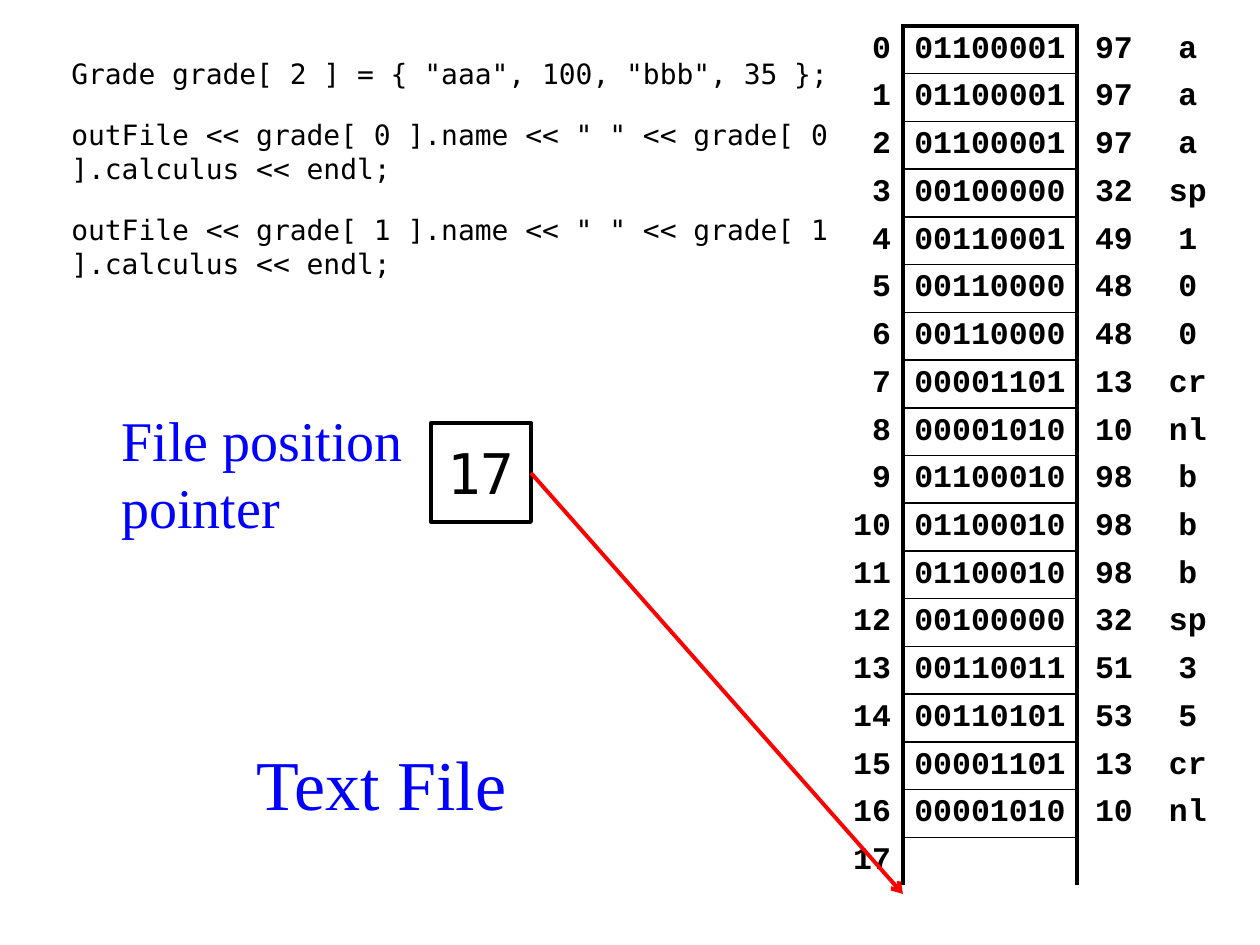
from lxml.etree import SubElement
from pptx import Presentation
from pptx.dml.color import RGBColor
from pptx.enum.shapes import MSO_CONNECTOR, MSO_SHAPE
from pptx.enum.text import MSO_ANCHOR, PP_ALIGN
from pptx.oxml import parse_xml
from pptx.oxml.ns import nsdecls, qn
from pptx.util import Emu, Pt

SCALE = 914400 // 126
COLORS = {"ink": "000000", "label": "0000FF", "arrow": "FF0000"}
MONO, CODE, SERIF = "Courier New", "DejaVu Sans Mono", "Times New Roman"


def px(*lengths):
    return [Emu(round(length * SCALE)) for length in lengths]


def write(frame, lines, font, size, color, align=PP_ALIGN.LEFT, gap=0, bold=False):
    for index, line in enumerate(lines):
        para = frame.paragraphs[0] if index == 0 else frame.add_paragraph()
        para.alignment = align
        para.space_before = Pt(gap)
        span = para.add_run()
        span.text = line
        span.font.name = font
        span.font.size = Pt(size)
        span.font.bold = bold
        span.font.color.rgb = RGBColor.from_string(COLORS[color])


deck = Presentation()
deck.slide_width, deck.slide_height = px(1260, 945)
page = deck.slides.add_slide(deck.slide_layouts[6])

# Bytes of the file, with their addresses, codes and characters
file_bytes = [97, 97, 97, 32, 49, 48, 48, 13, 10, 98, 98, 98, 32, 51, 53, 13, 10]
char_names = {32: "sp", 13: "cr", 10: "nl"}
rows = [[str(address), f"{code:08b}", str(code), char_names.get(code, chr(code))]
        for address, code in enumerate(file_bytes)]
rows.append([str(len(file_bytes)), "", "", ""])

column_widths = [74, 174, 74, 74]
memory = page.shapes.add_table(len(rows), 4, *px(829, 26, sum(column_widths), 859)).table
memory.first_row = memory.horz_banding = False
for column, width in zip(memory.columns, column_widths):
    column.width = px(width)[0]

last = len(rows) - 1
for r, values in enumerate(rows):
    memory.rows[r].height = px(859 / len(rows))[0]
    for c, value in enumerate(values):
        cell = memory.cell(r, c)
        cell.vertical_anchor = MSO_ANCHOR.MIDDLE
        cell.margin_left, cell.margin_right = px(*([10, 10] if c == 1 else [12, 12]))
        cell.margin_top, cell.margin_bottom = px(6, 6)
        if value:
            align = PP_ALIGN.RIGHT if c == 0 else PP_ALIGN.CENTER
            write(cell.text_frame, [value], MONO, 18, "ink", align, bold=True)
        else:
            end = SubElement(cell.text_frame.paragraphs[0]._p, qn("a:endParaRPr"), sz="1800")
            SubElement(end, qn("a:latin"), typeface=MONO)

        # Thick sides around the byte column, thin rules between bytes
        widths = {
            "lnL": 2.25 if c in (1, 2) else 0,
            "lnR": 2.25 if c in (0, 1) else 0,
            "lnT": (2.25 if r == 0 else 1) if c == 1 else 0,
            "lnB": 1 if c == 1 and r < last else 0,
        }
        for side, width in widths.items():
            paint = (f'<a:solidFill><a:srgbClr val="{COLORS["ink"]}"/></a:solidFill>'
                     if width else "<a:noFill/>")
            cell._tc.get_or_add_tcPr().append(parse_xml(
                f'<a:{side} {nsdecls("a")} w="{Pt(width)}">{paint}</a:{side}>'))
        cell.fill.background()

# Title, code and pointer label
code_lines = ['Grade grade[ 2 ] = { "aaa", 100, "bbb", 35 };']
code_lines += [f'outFile << grade[ {i} ].name << " " << grade[ {i} ].calculus << endl;'
               for i in range(2)]
text_boxes = [
    ((233, 721, 297, 123), ["Text File"], SERIF, 40, "label",
     PP_ALIGN.CENTER, 0, MSO_ANCHOR.MIDDLE),
    ((59, 50, 794, 248), code_lines, CODE, 16, "ink", PP_ALIGN.LEFT, 16, MSO_ANCHOR.TOP),
    ((109, 398, 323, 149), ["File position", "pointer"], SERIF, 32, "label",
     PP_ALIGN.LEFT, 0, MSO_ANCHOR.MIDDLE),
]
for place, lines, font, size, color, align, gap, anchor in text_boxes:
    frame = page.shapes.add_textbox(*px(*place)).text_frame
    frame.word_wrap = True
    frame.vertical_anchor = anchor
    write(frame, lines, font, size, color, align, gap)

# Pointer value
pointer_box = page.shapes.add_shape(MSO_SHAPE.RECTANGLE, *px(431, 423, 100, 99))
pointer_box.shadow.inherit = False
pointer_box.fill.background()
pointer_box.line.color.rgb = RGBColor.from_string(COLORS["ink"])
pointer_box.line.width = Pt(2.25)
pointer_box.text_frame.word_wrap = False
pointer_box.text_frame.vertical_anchor = MSO_ANCHOR.MIDDLE
write(pointer_box.text_frame, ["17"], CODE, 32, "ink", PP_ALIGN.CENTER)

# Arrow to the next free byte
arrow = page.shapes.add_connector(MSO_CONNECTOR.STRAIGHT, *px(531, 473, 903, 894))
arrow.line.color.rgb = RGBColor.from_string(COLORS["arrow"])
arrow.line.width = Pt(2.25)
SubElement(arrow.line._get_or_add_ln(), qn("a:tailEnd"), type="arrow")
SubElement(arrow._element.spPr, qn("a:effectLst"))

deck.save("out.pptx")
